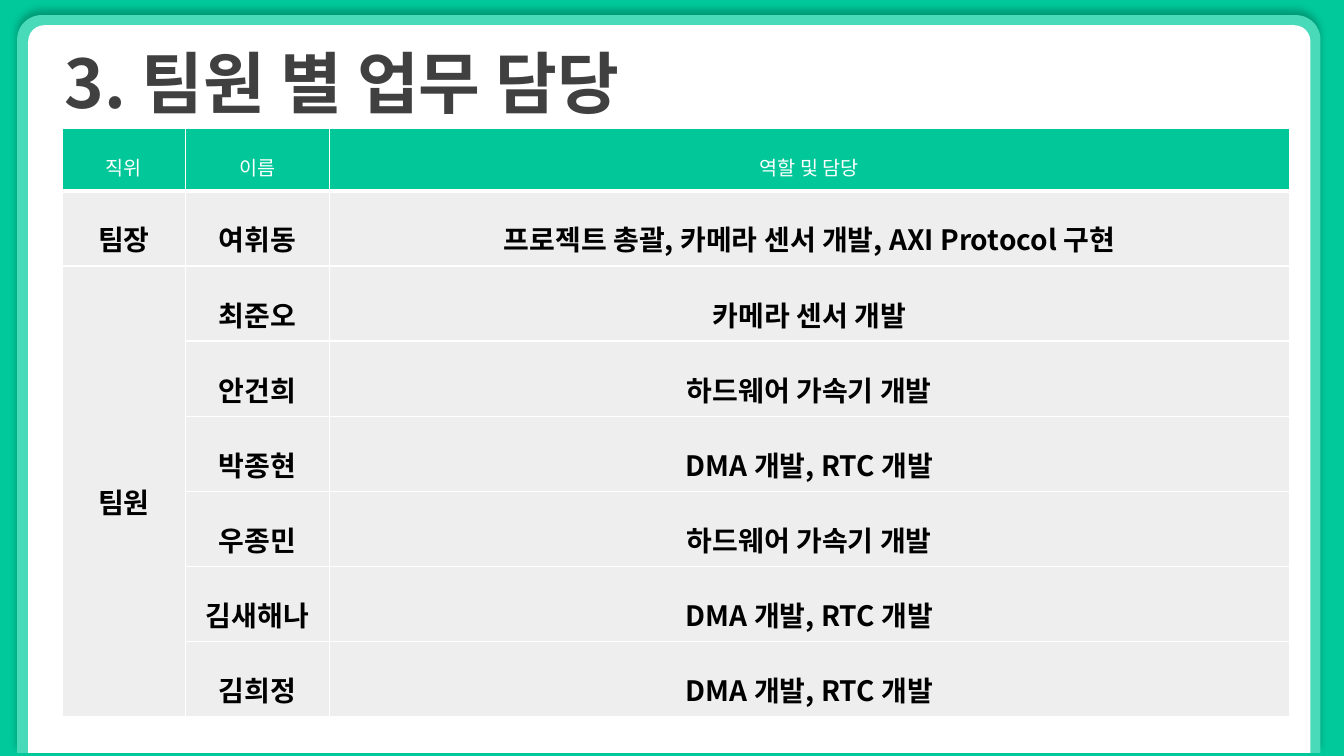
from dataclasses import dataclass

from lxml import etree
from pptx import Presentation
from pptx.dml.color import RGBColor
from pptx.enum.shapes import MSO_SHAPE
from pptx.enum.text import MSO_ANCHOR, MSO_AUTO_SIZE, PP_ALIGN
from pptx.oxml.ns import qn
from pptx.slide import Slide
from pptx.table import _Cell
from pptx.text.text import _Paragraph
from pptx.util import Pt

ROUND = MSO_SHAPE.ROUND_2_SAME_RECTANGLE
MIDDLE = MSO_ANCHOR.MIDDLE
CENTER, LEFT = PP_ALIGN.CENTER, PP_ALIGN.LEFT
NO_FIT = MSO_AUTO_SIZE.NONE


@dataclass(frozen=True)
class Style:
    font: str
    size: float
    color: str
    bold: bool


@dataclass(frozen=True)
class Theme:
    back: str = "01C99B"
    rim: str = "49DAB9"
    white: str = "FFFFFF"
    head: str = "01C799"
    body: str = "EEEEEE"
    asian: str = "Noto Sans CJK KR"
    title: Style = Style("Noto Sans CJK KR", 48, "404040", True)
    label: Style = Style("Times New Roman", 14, "FFFFFF", False)
    entry: Style = Style("Noto Sans CJK KR", 20, "000000", True)


@dataclass(frozen=True)
class Panel:
    left: float
    top: float
    width: float
    height: float
    curve: float
    fill: str
    shade: bool


@dataclass(frozen=True)
class Member:
    rank: str
    name: str
    role: str


THEME = Theme()
PANELS = [
    Panel(12.24, 10.8, 930.96, 527.04, 0.033, THEME.rim, True),
    Panel(20.16, 18, 915.84, 519.84, 0.022, THEME.white, False),
]
HEADS = Member("직위", "이름", "역할 및 담당")
TEAM = [
    Member("팀장", "여휘동", "프로젝트 총괄, 카메라 센서 개발, AXI Protocol 구현"),
    Member("팀원", "최준오", "카메라 센서 개발"),
    Member("", "안건희", "하드웨어 가속기 개발"),
    Member("", "박종현", "DMA 개발, RTC 개발"),
    Member("", "우종민", "하드웨어 가속기 개발"),
    Member("", "김새해나", "DMA 개발, RTC 개발"),
    Member("", "김희정", "DMA 개발, RTC 개발"),
]
WIDTHS = [87.84, 102.96, 685.44]
HEAD_ROW, BODY_ROW = 44.64, 50.5


def add_run(para: _Paragraph, text: str, style: Style) -> None:
    run = para.add_run()
    run.text = text
    font = run.font
    font.name, font.size, font.bold = style.font, Pt(style.size), style.bold
    font.color.rgb = RGBColor.from_string(style.color)
    east = etree.SubElement(run._r.get_or_add_rPr(), qn("a:ea"))
    east.set("typeface", THEME.asian)


def add_shade(props: etree._Element) -> None:
    effects = props.find(qn("a:effectLst"))
    shade = etree.SubElement(effects, qn("a:outerShdw"), blurRad=str(Pt(5)),
                             dist=str(Pt(3)), dir="16200000", rotWithShape="0")
    color = etree.SubElement(shade, qn("a:srgbClr"), val="000000")
    etree.SubElement(color, qn("a:alpha"), val="24000")


def add_panel(slide: Slide, panel: Panel) -> None:
    shape = slide.shapes.add_shape(ROUND, Pt(panel.left), Pt(panel.top),
                                   Pt(panel.width), Pt(panel.height))
    shape.adjustments[0] = panel.curve
    shape.adjustments[1] = 0
    shape.fill.solid()
    shape.fill.fore_color.rgb = RGBColor.from_string(panel.fill)
    shape.line.fill.background()
    shape.shadow.inherit = False
    if panel.shade:
        add_shade(shape._element.spPr)


def set_title(slide: Slide, text: str) -> None:
    title = slide.shapes.title
    title.left, title.top = Pt(38.88), Pt(25.92)
    title.width, title.height = Pt(511.92), Pt(65.52)
    slide.shapes._spTree.append(title._element)
    frame = title.text_frame
    frame.word_wrap, frame.auto_size = True, NO_FIT
    frame.vertical_anchor = MIDDLE
    para = frame.paragraphs[0]
    para.alignment = LEFT
    add_run(para, text, THEME.title)


def set_edges(cell: _Cell, base: float) -> None:
    props = cell._tc.get_or_add_tcPr()
    sides = {"a:lnL": 1, "a:lnR": 1, "a:lnT": 1, "a:lnB": base}
    for spot, (tag, width) in enumerate(sides.items()):
        edge = etree.Element(qn(tag), w=str(Pt(width)))
        fill = etree.SubElement(edge, qn("a:solidFill"))
        etree.SubElement(fill, qn("a:srgbClr"), val=THEME.white)
        props.insert(spot, edge)


def set_cell(cell: _Cell, text: str, head: bool) -> None:
    cell.fill.solid()
    cell.fill.fore_color.rgb = RGBColor.from_string(
        THEME.head if head else THEME.body)
    set_edges(cell, 3 if head else 1)
    cell.vertical_anchor = MIDDLE
    cell.margin_left = cell.margin_right = Pt(10.8)
    cell.margin_top = cell.margin_bottom = Pt(5.04)
    if text:
        para = cell.text_frame.paragraphs[0]
        para.alignment, para.line_spacing = CENTER, 1.5
        add_run(para, text, THEME.label if head else THEME.entry)


def add_team(slide: Slide) -> None:
    rows = [HEADS, *TEAM]
    height = HEAD_ROW + BODY_ROW * len(TEAM)
    table = slide.shapes.add_table(len(rows), len(WIDTHS), Pt(44.64), Pt(91.8),
                                   Pt(sum(WIDTHS)), Pt(height)).table
    for col, width in zip(table.columns, WIDTHS):
        col.width = Pt(width)
    for row, item in enumerate(rows):
        table.rows[row].height = Pt(BODY_ROW if row else HEAD_ROW)
        for col, text in enumerate((item.rank, item.name, item.role)):
            set_cell(table.cell(row, col), text, row == 0)
    table.cell(2, 0).merge(table.cell(len(TEAM), 0))


def main() -> None:
    deck = Presentation()
    deck.slide_width, deck.slide_height = Pt(960), Pt(540)
    slide = deck.slides.add_slide(deck.slide_layouts[5])
    slide.background.fill.solid()
    slide.background.fill.fore_color.rgb = RGBColor.from_string(THEME.back)
    for panel in PANELS:
        add_panel(slide, panel)
    set_title(slide, "3. 팀원 별 업무 담당")
    add_team(slide)
    deck.save("out.pptx")


if __name__ == "__main__":
    main()
